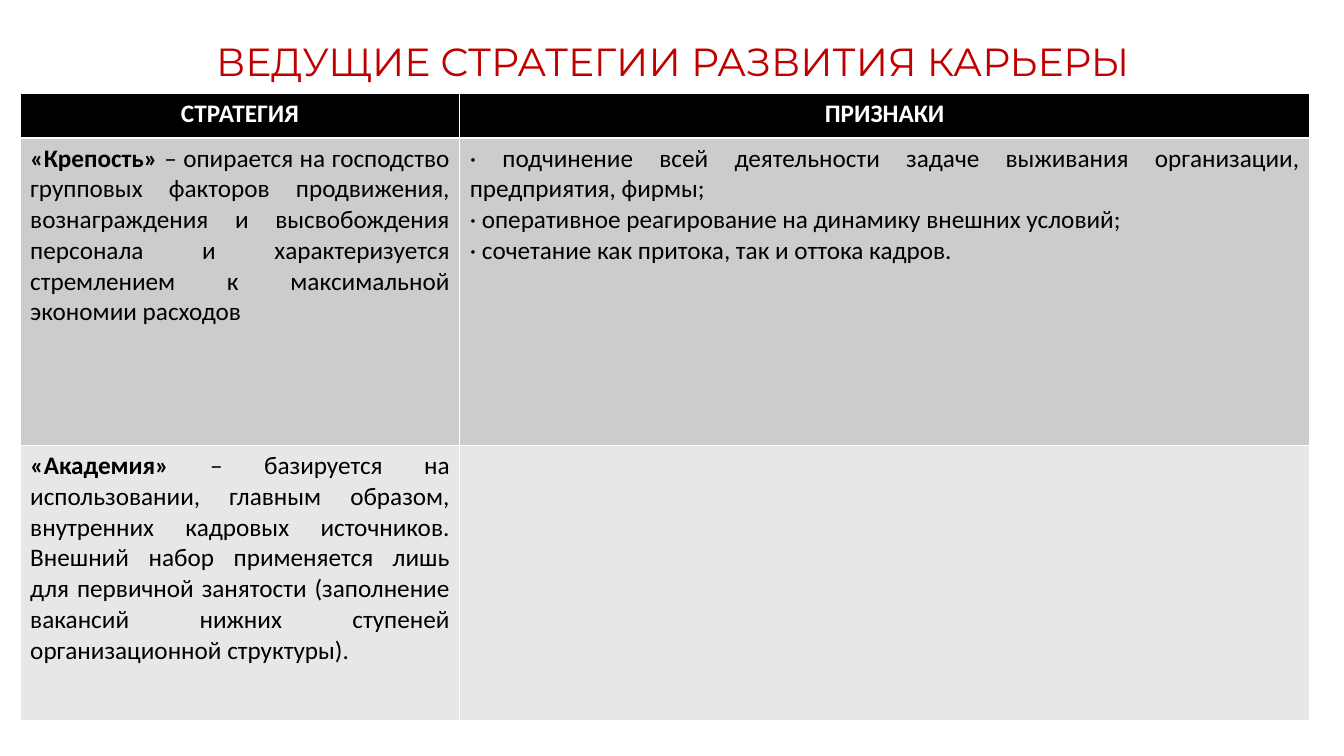
from dataclasses import dataclass

from pptx import Presentation
from pptx import util as u
from pptx.dml.color import RGBColor
from pptx.enum import text


@dataclass(frozen=True)
class Theme:
    red: str = "C00000"
    black: str = "000000"
    white: str = "FFFFFF"
    row_fills: tuple = ("000000", "CCCCCC", "E7E7E7")
    title_font: str = "Montserrat"
    body_font: str = "Calibri"
    title_size: int = 28
    body_size: int = 18


def add_text(paragraph, content, *, font, size, color, bold=False):
    run = paragraph.add_run()
    run.text = content
    run.font.name = font
    run.font.size = u.Pt(size)
    run.font.color.rgb = RGBColor.from_string(color)
    run.font.bold = bold


class SlideBuilder:
    def __init__(self, slide, theme):
        self.slide = slide
        self.theme = theme

    def title(self, content, left, top, width, height):
        shape = self.slide.shapes.title
        shape.left, shape.top = u.Inches(left), u.Inches(top)
        shape.width, shape.height = u.Inches(width), u.Inches(height)
        frame = shape.text_frame
        frame.auto_size = text.MSO_AUTO_SIZE.NONE
        frame.word_wrap = True
        frame.vertical_anchor = text.MSO_ANCHOR.MIDDLE
        paragraph = frame.paragraphs[0]
        paragraph.alignment = text.PP_ALIGN.CENTER
        paragraph.line_spacing = 0.9
        add_text(paragraph, content, font=self.theme.title_font,
                 size=self.theme.title_size, color=self.theme.red)

    def table(self, rows, left, top, widths, heights):
        table = self.slide.shapes.add_table(
            len(rows), len(widths), u.Inches(left), u.Inches(top),
            u.Inches(sum(widths)), u.Inches(sum(heights))).table
        for column, width in zip(table.columns, widths):
            column.width = u.Inches(width)
        for index, (cells, height) in enumerate(zip(rows, heights)):
            table.rows[index].height = u.Inches(height)
            for column, paragraphs in enumerate(cells):
                self.cell(table.cell(index, column), paragraphs,
                          self.theme.row_fills[index], header=index == 0)

    def cell(self, cell, paragraphs, fill, header):
        cell.fill.solid()
        cell.fill.fore_color.rgb = RGBColor.from_string(fill)
        frame = cell.text_frame
        for index, runs in enumerate(paragraphs):
            paragraph = frame.add_paragraph() if index else frame.paragraphs[0]
            paragraph.alignment = text.PP_ALIGN.CENTER if header else text.PP_ALIGN.JUSTIFY
            for content, bold in runs:
                add_text(paragraph, content, font=self.theme.body_font,
                         size=self.theme.body_size, bold=bold,
                         color=self.theme.white if header else self.theme.black)


STRATEGIES = [
    [[[("СТРАТЕГИЯ", True)]], [[("ПРИЗНАКИ", True)]]],
    [
        [[("«Крепость» ", True),
          ("– опирается на господство групповых факторов продвижения, "
           "вознаграждения и высвобождения персонала и характеризуется "
           "стремлением к максимальной экономии расходов", False)]],
        [[("· подчинение всей деятельности задаче выживания организации, "
           "предприятия, фирмы;", False)],
         [("· оперативное реагирование на динамику внешних условий;", False)],
         [("· сочетание как притока, так и оттока кадров.", False)]],
    ],
    [
        [[("«Академия»", True),
          (" – базируется на использовании, главным образом, внутренних "
           "кадровых источников. Внешний набор применяется лишь для первичной "
           "занятости (заполнение вакансий нижних ступеней организационной "
           "структуры).", False)]],
        [],
    ],
]


def main():
    presentation = Presentation()
    presentation.slide_width = u.Inches(13.33)
    presentation.slide_height = u.Inches(7.5)
    slide = presentation.slides.add_slide(presentation.slide_layouts[5])
    builder = SlideBuilder(slide, Theme())
    builder.title("ВЕДУЩИЕ СТРАТЕГИИ РАЗВИТИЯ КАРЬЕРЫ", 0.92, 0.4, 11.5, 0.47)
    builder.table(STRATEGIES, 0.2, 0.93, widths=(4.36, 8.43), heights=(0.44, 3.05, 2.73))
    presentation.save("out.pptx")


if __name__ == "__main__":
    main()
